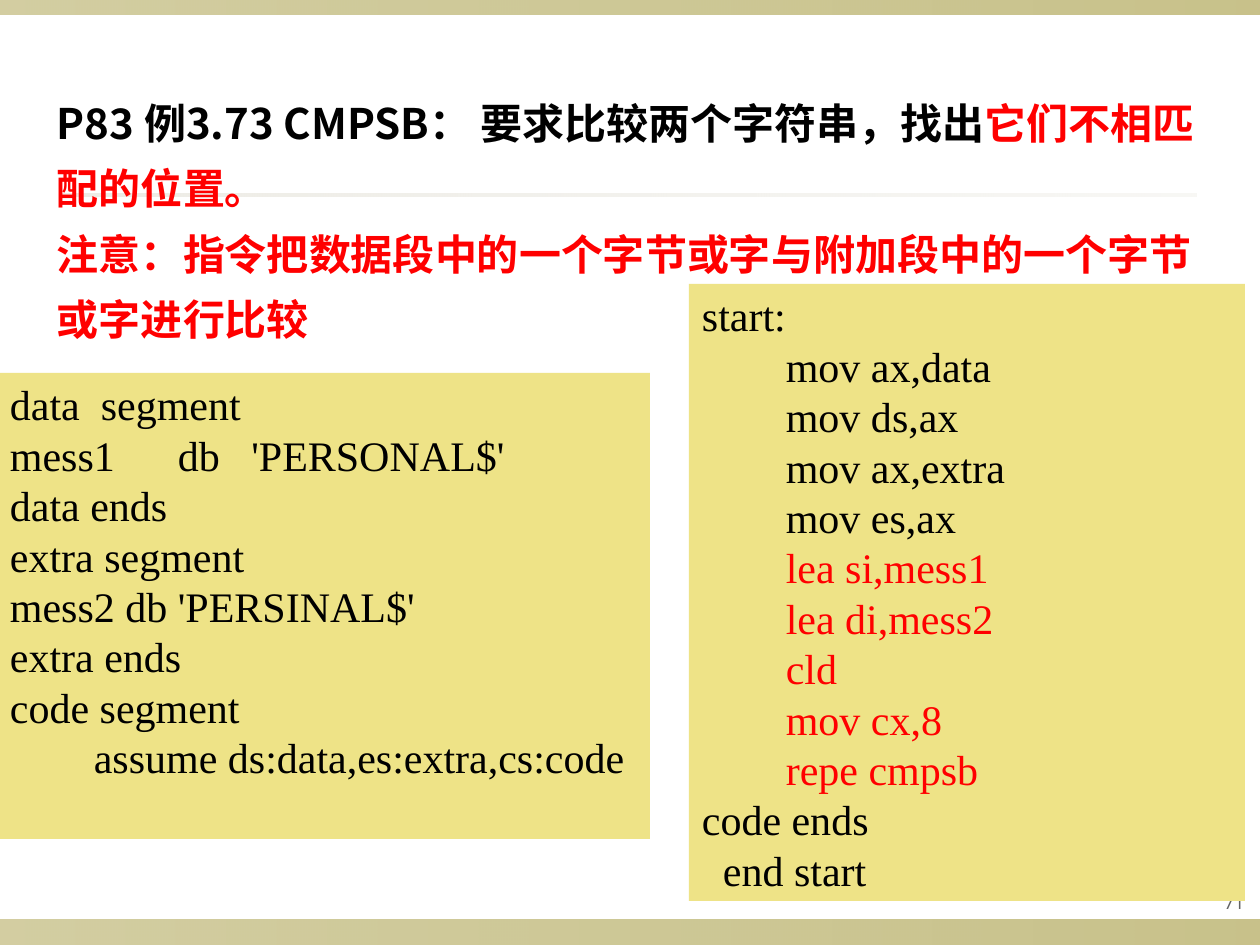
from lxml import etree
from pptx import Presentation
from pptx import util as u
from pptx.dml.color import RGBColor
from pptx.enum import shapes, text
from pptx.oxml.ns import qn

THEME = {
    "black": "000000", "red": "FF0000", "gray": "636363",
    "olive": "918415", "sand": "DCD9CC", "panel": "EEE387",
    "heading_font": "Noto Sans CJK SC", "code_font": "Times New Roman",
    "number_font": "Montserrat", "body_size": 24, "number_size": 12,
}

HEADING = [
    [("P83 例3.73 CMPSB： 要求比较两个字符串，找出", "black"), ("它们不相匹配的位置。", "red")],
    [("注意：指令把数据段中的一个字节或字与附加段中的一个字节或字进行比较", "red")],
]
DATA_CODE = [
    "data  segment",
    "mess1      db   'PERSONAL$'",
    "data ends",
    "extra segment",
    "mess2 db 'PERSINAL$'",
    "extra ends",
    "code segment",
    "        assume ds:data,es:extra,cs:code",
]
START_CODE = [
    "start:",
    "        mov ax,data",
    "        mov ds,ax",
    "        mov ax,extra",
    "        mov es,ax",
    "        lea si,mess1",
    "        lea di,mess2",
    "        cld",
    "        mov cx,8",
    "        repe cmpsb",
    "code ends",
    "  end start",
]
RED_LINES = START_CODE[5:10]
BANDS = [
    ((0, 920, 1260, 25), "olive", (40, 50)),
    ((0, 0, 1260, 15), "olive", (40, 50)),
    ((63, 194, 1134, 3), "sand", (50, 20)),
]
PANELS = [((-3, 373, 653, 466), DATA_CODE), ((689, 284, 556, 617), START_CODE)]
HEADING_BOX = (44, 76, 1201, 277)
NUMBER_BOX = (735, 882, 514, 39)


def px(*values):
    return [u.Emu(round(v * 914400 / 126)) for v in values]


def color(name):
    return RGBColor.from_string(THEME[name])


def write(sp, paragraphs, font, size=THEME["body_size"], bold=False, spacing=None,
          align=text.PP_ALIGN.LEFT, anchor=text.MSO_ANCHOR.TOP, inset=(13, 6)):
    tf = sp.text_frame
    tf.word_wrap = True
    tf.auto_size = text.MSO_AUTO_SIZE.NONE
    tf.vertical_anchor = anchor
    tf.margin_left, tf.margin_top = tf.margin_right, tf.margin_bottom = px(*inset)
    for i, runs in enumerate(paragraphs):
        p = tf.add_paragraph() if i else tf.paragraphs[0]
        p.alignment = align
        if spacing:
            p.line_spacing = spacing
        for content, tone in runs:
            r = p.add_run()
            r.text = content
            r.font.name = font
            r.font.size = u.Pt(size)
            r.font.bold = bold
            r.font.color.rgb = color(tone)
            ea = etree.SubElement(r.font._element, qn("a:ea"))
            ea.set("typeface", font)


def add_rect(s, box):
    sp = s.shapes.add_shape(shapes.MSO_SHAPE.RECTANGLE, *px(*box))
    sp.shadow.inherit = False
    sp.line.fill.background()
    return sp


def add_band(s, box, tone, opacities):
    sp = add_rect(s, box)
    sp.fill.gradient()
    sp.fill.gradient_angle = 0
    for stop, position, opacity in zip(sp.fill.gradient_stops, (0, 1), opacities):
        stop.position = position
        stop.color.rgb = color(tone)
    for rgb, opacity in zip(sp._element.spPr.iter(qn("a:srgbClr")), opacities):
        etree.SubElement(rgb, qn("a:alpha")).set("val", str(opacity * 1000))


def add_panel(s, box, lines):
    sp = add_rect(s, box)
    sp.fill.solid()
    sp.fill.fore_color.rgb = color("panel")
    write(sp, [[(line, "red" if line in RED_LINES else "black")] for line in lines],
          THEME["code_font"])


def main():
    prs = Presentation()
    prs.slide_width, prs.slide_height = px(1260, 945)
    s = prs.slides.add_slide(prs.slide_layouts[5])

    for band in BANDS:
        add_band(s, *band)

    number = s.shapes.add_textbox(*px(*NUMBER_BOX))
    write(number, [[("71", "gray")]], THEME["number_font"], size=THEME["number_size"],
          align=text.PP_ALIGN.RIGHT, anchor=text.MSO_ANCHOR.MIDDLE, inset=(6, 6))

    title = s.shapes.title
    title.left, title.top, title.width, title.height = px(*HEADING_BOX)
    write(title, HEADING, THEME["heading_font"], bold=True, spacing=1.3)
    s.shapes._spTree.append(title._element)

    for panel in PANELS:
        add_panel(s, *panel)

    prs.save("out.pptx")


if __name__ == "__main__":
    main()
